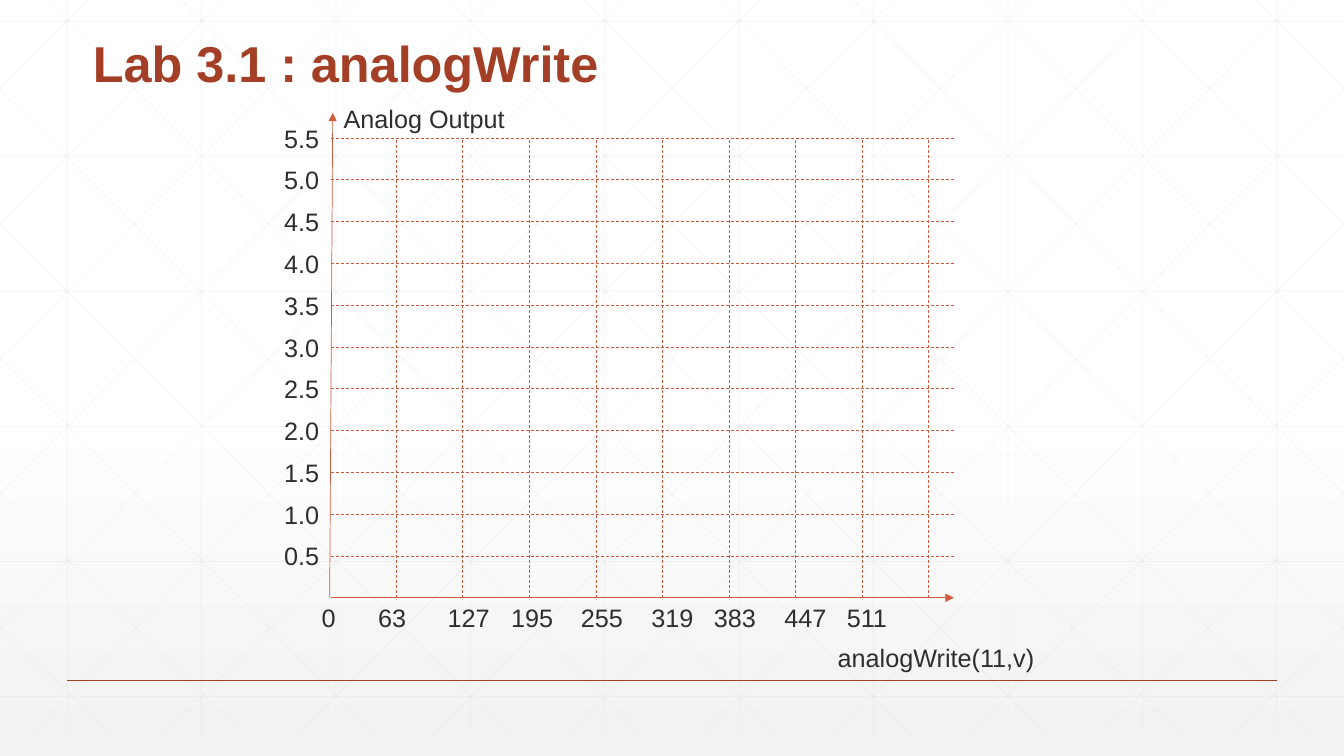
"""Build the analogWrite lab slide with its empty output grid."""
from lxml import etree
from pptx import Presentation
from pptx.dml.color import RGBColor
from pptx.enum.dml import MSO_LINE
from pptx.enum.shapes import MSO_CONNECTOR
from pptx.enum.text import MSO_ANCHOR, MSO_AUTO_SIZE, PP_ALIGN
from pptx.oxml.ns import qn
from pptx.util import Inches, Pt

TITLE = "Lab 3.1 : analogWrite"
Y_NAME, X_NAME = "Analog Output", "analogWrite(11,v)"
X_LABELS = [("0", 3.26), ("63", 3.89), ("127", 4.65), ("195", 5.28), ("255", 5.97),
            ("319", 6.67), ("383", 7.29), ("447", 7.99), ("511", 8.6)]
Y_LABELS = ["0.5", "1.0", "1.5", "2.0", "2.5", "3.0", "3.5", "4.0", "4.5", "5.0", "5.5"]

STRAIGHT = MSO_CONNECTOR.STRAIGHT
DASH = MSO_LINE.DASH
WHITE = RGBColor(0xFF, 0xFF, 0xFF)
PALE = RGBColor(0xF2, 0xF2, 0xF2)
GREY = RGBColor(0xD9, 0xD9, 0xD9)
RUST = RGBColor(0xA4, 0x3F, 0x27)
ORANGE = RGBColor(0xD1, 0x5A, 0x3E)
INK = RGBColor(0x2D, 0x2E, 0x2D)

W, H = 13.33, 7.5
PITCH = W / 10
MESH_BOTTOM = 7.29
LEFT, RIGHT, TOP, BASE = 3.28, 9.46, 1.38, 5.93
ROW = (BASE - TOP + 0.01) / len(Y_LABELS)
FIRST_COL, COL, COLS = 3.93, 0.66, 9
LABEL_H = 0.4
AXIS_TEXT_LEFT = 3.03
INSET = 0.1

prs = Presentation()
prs.slide_width, prs.slide_height = Inches(W), Inches(H)
layout = prs.slide_layouts[5]
s = prs.slides.add_slide(layout)


def add_line(x1, y1, x2, y2, color=ORANGE, width=0.5, dash=None, arrow=False, alpha=None):
    c = s.shapes.add_connector(STRAIGHT, *map(Inches, (x1, y1, x2, y2)))
    c.line.color.rgb = color
    c.line.width = Pt(width)
    if dash:
        c.line.dash_style = dash
    sp_pr = c.element.spPr
    ln = sp_pr.find(qn("a:ln"))
    if arrow:
        etree.SubElement(ln, qn("a:tailEnd"), type="triangle")
    if alpha:
        etree.SubElement(next(ln.iter(qn("a:srgbClr"))), qn("a:alpha"), val=str(alpha * 1000))
    etree.SubElement(sp_pr, qn("a:effectLst"))
    return c


def style_text(tf, text, **font):
    p = tf.paragraphs[0]
    p.alignment = PP_ALIGN.LEFT
    r = p.add_run()
    r.text = text
    r.font.color.rgb = font.pop("color")
    for name, value in {"name": "Arial", **font}.items():
        setattr(r.font, name, value)
    return p


def add_label(text, x, y, w):
    sp = s.shapes.add_textbox(*map(Inches, (x, y, w, LABEL_H)))
    tf = sp.text_frame
    tf.word_wrap = True
    tf.auto_size = MSO_AUTO_SIZE.SHAPE_TO_FIT_TEXT
    return style_text(tf, text, size=Pt(18), color=INK)


def mesh_lines():
    for i in range(10):
        x = (i + 0.5) * PITCH
        yield x, 0, x, MESH_BOTTOM
    for i in range(6):
        y = 0.21 + 1.34 * i
        yield 0, y, W, y
    diagonals = []
    for i in range(10):
        x = 0.46 + i * PITCH
        run = min(7.25, W - x)
        diagonals.append((x, 0, x + run, run * 1.006))
    for i in range(5):
        diagonals.append((W - 6.37 + 1.32 * i, MESH_BOTTOM, W, 0.89 + 1.33 * i))
    for x1, y1, x2, y2 in diagonals:
        yield x1, y1, x2, y2
        yield W - x1, y1, W - x2, y2


fill = s.background.fill
fill.gradient()
fill.gradient_angle = 270
for stop, position, color in zip(fill.gradient_stops, (0.53, 1), (WHITE, PALE)):
    stop.position, stop.color.rgb = position, color

decor = [add_line(*ends, color=GREY, alpha=25) for ends in mesh_lines()]
decor.append(add_line(PITCH / 2, 6.75, W - PITCH / 2, 6.75, RUST, 1))
for number, c in enumerate(decor, 100):
    c.element.nvCxnSpPr.cNvPr.id = number
    layout.shapes.element.append(c.element)

title = s.shapes.title
title.left, title.top, title.width, title.height = map(Inches, (0.82, 0.12, 10.5, 0.86))
tf = title.text_frame
tf.vertical_anchor = MSO_ANCHOR.BOTTOM
tf.auto_size = MSO_AUTO_SIZE.NONE
style_text(tf, TITLE, size=Pt(36), bold=True, color=RUST).line_spacing = 0.9

add_line(LEFT - 0.01, BASE, LEFT + 0.02, 1.12, arrow=True)
add_line(LEFT, BASE, RIGHT, BASE, arrow=True)
for i in range(COLS):
    x = FIRST_COL + i * COL
    add_line(x, BASE, x, TOP, dash=DASH)
for i, text in enumerate(Y_LABELS, 1):
    y = BASE - i * ROW
    add_line(LEFT, y, RIGHT, y, dash=DASH)
    add_label(text, 2.72, y - LABEL_H / 2, 0.62)

p = add_label("".join("\t" + text for text, x in X_LABELS), AXIS_TEXT_LEFT, BASE, 7.18)
tabs = etree.SubElement(p._p.get_or_add_pPr(), qn("a:tabLst"))
for text, x in X_LABELS:
    etree.SubElement(tabs, qn("a:tab"), pos=str(Inches(x - AXIS_TEXT_LEFT - INSET)), algn="ctr")
add_label(X_NAME, 8.21, 6.32, 2.31)
add_label(Y_NAME, 3.31, 0.98, 2.18)

prs.save("out.pptx")
